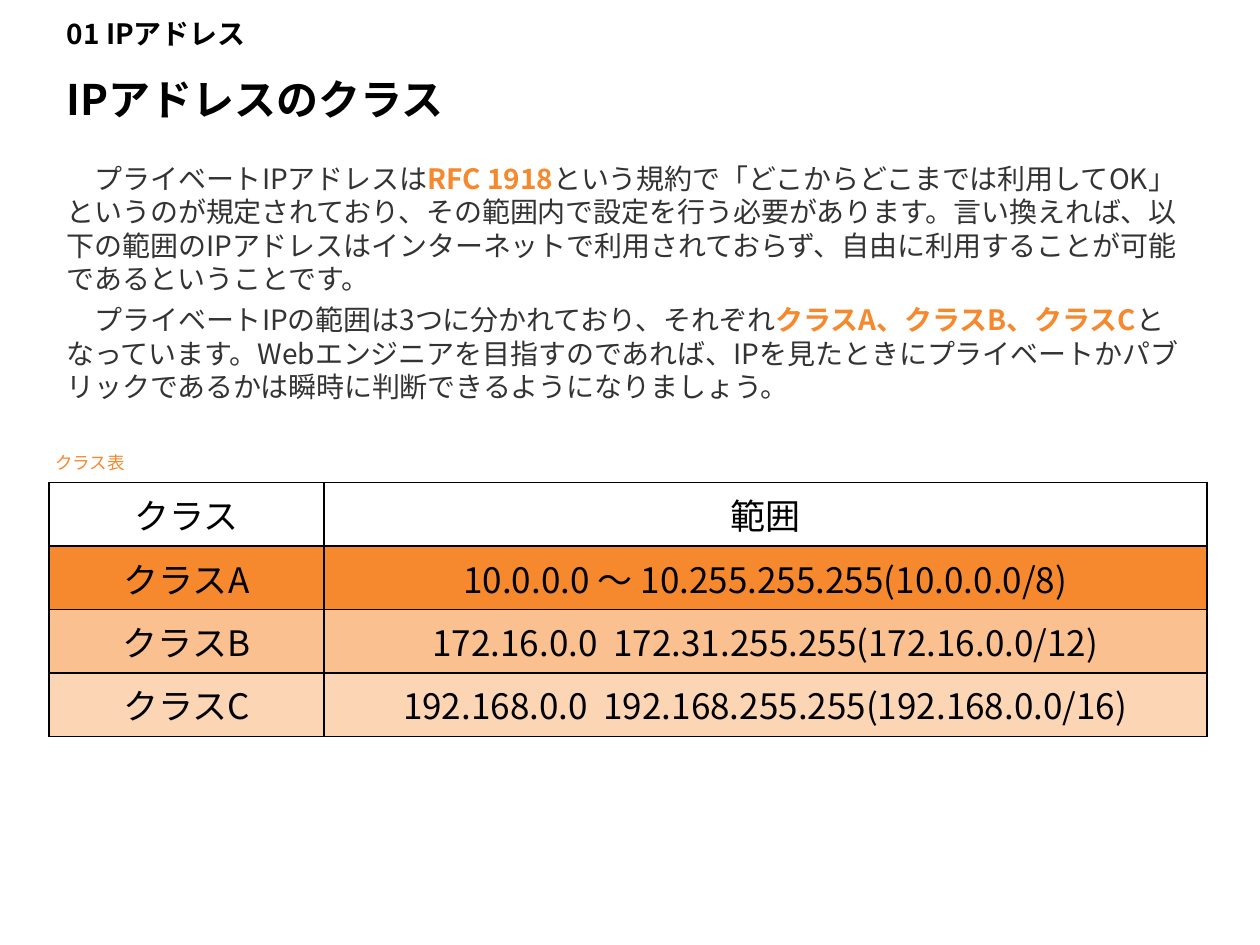
from lxml.etree import SubElement
from pptx import Presentation
from pptx.dml.color import RGBColor
from pptx.enum.lang import MSO_LANGUAGE_ID
from pptx.enum.text import MSO_ANCHOR, MSO_AUTO_SIZE, PP_ALIGN
from pptx.oxml.ns import qn
from pptx.util import Inches, Pt

FONT = "Noto Sans CJK JP"
COLORS = {
    "black": "000000",
    "white": "FFFFFF",
    "body": "333333",
    "orange": "F6882E",
    "medium": "FAC090",
    "light": "FCD5B5",
}


def add_run(paragraph, text, size, color, bold=False):
    run = paragraph.add_run()
    run.text = text
    font = run.font
    font.name = FONT
    font.size = Pt(size)
    font.bold = bold
    font.color.rgb = RGBColor.from_string(COLORS[color])
    font.language_id = MSO_LANGUAGE_ID.JAPANESE
    SubElement(run._r.get_or_add_rPr(), qn("a:ea"), typeface=FONT)


def format_frame(shape, anchor):
    frame = shape.text_frame
    frame.word_wrap = True
    frame.auto_size = MSO_AUTO_SIZE.NONE
    frame.vertical_anchor = anchor
    return frame


presentation = Presentation()
presentation.slide_width = Inches(10)
presentation.slide_height = Inches(7.5)
slide = presentation.slides.add_slide(presentation.slide_layouts[5])

# Section title
title = slide.shapes.title
title.left, title.top = Inches(0.43), Inches(0)
title.width, title.height = Inches(2.91), Inches(0.53)
title_paragraph = format_frame(title, MSO_ANCHOR.MIDDLE).paragraphs[0]
title_paragraph.alignment = PP_ALIGN.LEFT
add_run(title_paragraph, "01 IPアドレス", 16, "black", True)

# Page heading and table caption
labels = [
    ("IPアドレスのクラス", 0.43, 0.46, 8.38, 0.64, 24, "black", True),
    ("クラス表", 0.34, 3.41, 2.91, 0.53, 10, "orange", False),
]
for text, left, top, width, height, size, color, bold in labels:
    label = slide.shapes.add_textbox(Inches(left), Inches(top), Inches(width), Inches(height))
    frame = format_frame(label, MSO_ANCHOR.MIDDLE)
    add_run(frame.paragraphs[0], text, size, color, bold)

# Body text: each paragraph has a highlighted phrase in the middle
body_texts = [
    (
        "　プライベートIPアドレスは",
        "RFC 1918",
        "という規約で「どこからどこまでは利用してOK」というのが規定されており、"
        "その範囲内で設定を行う必要があります。言い換えれば、以下の範囲のIPアドレスは"
        "インターネットで利用されておらず、自由に利用することが可能であるということです。",
    ),
    (
        "　プライベートIPの範囲は3つに分かれており、それぞれ",
        "クラスA、クラスB、クラスC",
        "となっています。Webエンジニアを目指すのであれば、IPを見たときに"
        "プライベートかパブリックであるかは瞬時に判断できるようになりましょう。",
    ),
]
body = slide.shapes.add_textbox(Inches(0.43), Inches(1.23), Inches(9.19), Inches(2.1))
body_frame = format_frame(body, MSO_ANCHOR.TOP)
for index, (opening, highlight, closing) in enumerate(body_texts):
    paragraph = body_frame.add_paragraph() if index else body_frame.paragraphs[0]
    paragraph.line_spacing = 1.0
    if index:
        paragraph.space_before = Pt(4)
    add_run(paragraph, opening, 16, "body")
    add_run(paragraph, highlight, 16, "orange", True)
    add_run(paragraph, closing, 16, "body")

# Class table
rows = [
    ("クラス", "範囲", "white"),
    ("クラスA", "10.0.0.0 ～ 10.255.255.255(10.0.0.0/8)", "orange"),
    ("クラスB", "172.16.0.0  172.31.255.255(172.16.0.0/12)", "medium"),
    ("クラスC", "192.168.0.0  192.168.255.255(192.168.0.0/16)", "light"),
]
row_height = Inches(0.5)
table = slide.shapes.add_table(
    len(rows), 2, Inches(0.39), Inches(3.83), Inches(9.19), row_height * len(rows)
).table
table.columns[0].width = Inches(2.18)
table.columns[1].width = Inches(7.01)
for row_index, (*texts, fill) in enumerate(rows):
    table.rows[row_index].height = row_height
    for column_index, text in enumerate(texts):
        cell = table.cell(row_index, column_index)
        cell.vertical_anchor = MSO_ANCHOR.MIDDLE
        properties = cell._tc.get_or_add_tcPr()
        for side in ("a:lnL", "a:lnR", "a:lnT", "a:lnB"):
            border = SubElement(properties, qn(side), w=str(Pt(1)))
            border_fill = SubElement(border, qn("a:solidFill"))
            SubElement(border_fill, qn("a:srgbClr"), val=COLORS["black"])
        cell.fill.solid()
        cell.fill.fore_color.rgb = RGBColor.from_string(COLORS[fill])
        paragraph = cell.text_frame.paragraphs[0]
        paragraph.alignment = PP_ALIGN.CENTER
        add_run(paragraph, text, 20, "black")

presentation.save("out.pptx")
